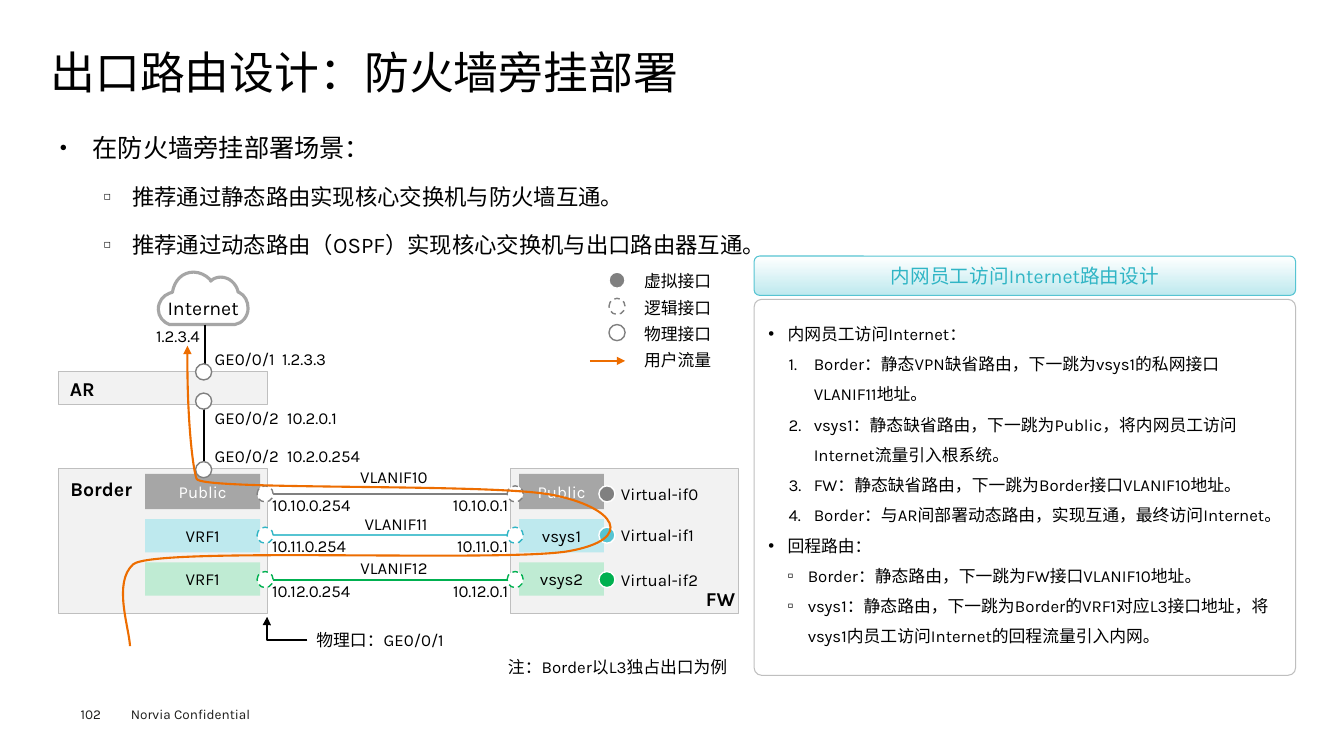
from lxml.etree import SubElement
from pptx import Presentation
from pptx.dml.color import RGBColor
from pptx.enum.dml import MSO_LINE
from pptx.enum.shapes import MSO_CONNECTOR, MSO_SHAPE
from pptx.enum.text import MSO_ANCHOR, MSO_AUTO_SIZE, PP_ALIGN
from pptx.oxml.ns import qn
from pptx.util import Pt

SCALE = 9144
FONT = "Karla"
BLACK, WHITE, GREY, PALE, EDGE = "000000", "FFFFFF", "808080", "F2F2F2", "BFBFBF"
TEAL, DEEP, MINT, GREEN, ORANGE = "56C4D2", "30B5C5", "BEE9EE", "00B050", "ED6D00"
LEFT, MID, RIGHT = PP_ALIGN.LEFT, PP_ALIGN.CENTER, PP_ALIGN.RIGHT


def px(n):
    return round(n * SCALE)


def rgb(code):
    return RGBColor.from_string(code)


def style(par, size, color=BLACK, bold=False):
    par.font.name = FONT
    par.font.size = Pt(size)
    par.font.bold = bold
    par.font.color.rgb = rgb(color)


def inset(frame, side, top):
    frame.margin_left = frame.margin_right = px(side)
    frame.margin_top = frame.margin_bottom = px(top)


def label(page, x, y, w, words, size=12, align=LEFT, h=30, wrap=False, color=BLACK, bold=False, tab=0):
    box = page.add_textbox(px(x), px(y), px(w), px(h))
    frame = box.text_frame
    frame.word_wrap = wrap
    frame.auto_size = MSO_AUTO_SIZE.SHAPE_TO_FIT_TEXT
    par = frame.paragraphs[0]
    par.text = words
    par.alignment = align
    if tab:
        stops = SubElement(par._p.get_or_add_pPr(), qn("a:tabLst"))
        SubElement(stops, qn("a:tab"), pos=str(px(tab)), algn="l")
    style(par, size, color, bold)
    return frame


def paint(shape, fill, line, width=0.75, dash=False):
    shape.shadow.inherit = False
    if fill:
        shape.fill.solid()
        shape.fill.fore_color.rgb = rgb(fill)
    else:
        shape.fill.background()
    if line:
        shape.line.color.rgb = rgb(line)
        shape.line.width = Pt(width)
        if dash:
            shape.line.dash_style = MSO_LINE.DASH
    else:
        shape.line.fill.background()


def block(page, x, y, w, h, fill, line=None, words="", color=BLACK, size=12, kind=MSO_SHAPE.RECTANGLE):
    shape = page.add_shape(kind, px(x), px(y), px(w), px(h))
    paint(shape, fill, line)
    if words:
        frame = shape.text_frame
        frame.vertical_anchor = MSO_ANCHOR.MIDDLE
        par = frame.paragraphs[0]
        par.text = words
        par.alignment = MID
        style(par, size, color)
    return shape


def dot(page, x, y, fill=WHITE, line=GREY, dash=False):
    shape = page.add_shape(MSO_SHAPE.OVAL, px(x), px(y), px(16), px(16))
    paint(shape, fill, line, 1, dash)


def arrow(shape):
    SubElement(shape.line._get_or_add_ln(), qn("a:tailEnd"), type="triangle")


def link(page, x1, y1, x2, y2, color, kind=MSO_CONNECTOR.STRAIGHT):
    line = page.add_connector(kind, px(x1), px(y1), px(x2), px(y2))
    line.line.color.rgb = rgb(color)
    line.line.width = Pt(1.5)
    SubElement(line._element.spPr, qn("a:effectLst"))
    return line


def curve(page, x, y, w, h, steps, close):
    pen = page.build_freeform(px(x), px(y))
    pen.add_line_segments([(px(x + w), px(y + h))], close=close)
    shape = pen.convert_to_shape()
    trace = shape._element.spPr.find(qn("a:custGeom")).find(qn("a:pathLst"))[0]
    for part in list(trace):
        trace.remove(part)
    for i, step in enumerate(steps):
        tag = "a:moveTo" if i == 0 else "a:lnTo" if len(step) == 2 else "a:cubicBezTo"
        part = SubElement(trace, qn(tag))
        for a, b in zip(step[::2], step[1::2]):
            SubElement(part, qn("a:pt"), x=str(px(a)), y=str(px(b)))
    if close:
        SubElement(trace, qn("a:close"))
    return shape


def bullet(par, mark, left, hang, size):
    prop = par._p.get_or_add_pPr()
    prop.set("marL", str(px(left)))
    prop.set("indent", str(px(-hang)))
    if size != 100:
        SubElement(prop, qn("a:buSzPct"), val=str(size * 1000))
    if mark == "1.":
        SubElement(prop, qn("a:buAutoNum"), type="arabicPeriod")
    else:
        SubElement(prop, qn("a:buFont"), typeface="Arial")
        SubElement(prop, qn("a:buChar"), char=mark)


def fill_list(frame, rows, levels, space):
    for i, (level, words) in enumerate(rows):
        par = frame.paragraphs[0] if i == 0 else frame.add_paragraph()
        par.text = words
        par.alignment = LEFT
        mark, left, hang, scale, size, before = levels[level]
        bullet(par, mark, left, hang, scale)
        par.line_spacing = space
        if i and before:
            par.space_before = Pt(before)
        style(par, size)


def head(page, x, y, w):
    frame = label(page, x, y, w, "出口路由设计：防火墙旁挂部署", 32, h=53, wrap=True)
    frame.auto_size = MSO_AUTO_SIZE.NONE
    inset(frame, 0, 0)
    frame.vertical_anchor = MSO_ANCHOR.MIDDLE
    frame.paragraphs[0].line_spacing = 0.9
    body = page.add_textbox(px(x), px(y + 67), px(w), px(139)).text_frame
    body.word_wrap = True
    inset(body, 9, 4)
    rows = [
        (0, "在防火墙旁挂部署场景："),
        (1, "推荐通过静态路由实现核心交换机与防火墙互通。"),
        (1, "推荐通过动态路由（OSPF）实现核心交换机与出口路由器互通。"),
    ]
    fill_list(body, rows, [("●", 33, 33, 50, 18, 0), ("◻", 72, 28, 50, 16, 7.2)], 1.4)


def fabric(page, x, y):
    block(page, x, y, 207, 144, PALE, EDGE)
    label(page, x, y + 3, 83, "Border", 14, RIGHT, 34, bold=True)
    block(page, x + 448, y, 227, 144, PALE, EDGE)
    label(page, x + 630, y + 112, 51, "FW", 14, RIGHT, 34, bold=True)
    lanes = [
        (5, 35, 25, 32, "A6A6A6", WHITE, "Public", "Public", GREY, GREY, GREY),
        (50, 33, 66, 26, MINT, BLACK, "VRF1", "vsys1", TEAL, DEEP, TEAL),
        (93, 33, 110, 27, "BFEBD3", BLACK, "VRF1", "vsys2", GREEN, GREEN, GREEN),
    ]
    for i, (top, tall, axis, lift, fill, ink, near, far, wire, ring, core) in enumerate(lanes):
        row, mid = y + top, y + axis
        block(page, x + 86, row, 114, tall, fill, words=near, color=ink)
        block(page, x + 457, row, 84, tall, fill, words=far, color=ink)
        link(page, x + 213, mid, x + 445, mid, wire)
        for left in (197, 445):
            dot(page, x + left, mid - 8, line=ring, dash=True)
        dot(page, x + 536, mid - 8, core, WHITE)
        label(page, x + 548, mid - 15, 98, f"Virtual-if{i}")
        label(page, x + 280, mid - lift, 96, f"VLANIF1{i}", align=RIGHT)
        label(page, x + 202, mid - 4, 107, f"10.1{i}.0.254")
        label(page, x + 367, mid - 4, 89, f"10.1{i}.0.1", align=RIGHT)
    bend = link(page, x + 247, y + 170, x + 207, y + 147, BLACK, MSO_CONNECTOR.ELBOW)
    guide = bend._element.spPr.find(qn("a:prstGeom")).find(qn("a:avLst"))
    SubElement(guide, qn("a:gd"), name="adj1", fmla="val 100700")
    arrow(bend)
    label(page, x + 246, y + 155, 150, "物理口：GE0/0/1")
    label(page, x + 436, y + 182, 240, "注：Border以L3独占出口为例", wrap=True)


def uplink(page, x, y):
    steps = [
        (35, 0), (41, 0, 47, 3, 51, 7), (52, 9), (53, 8), (55, 6, 59, 5, 62, 5),
        (70, 5, 77, 11, 79, 19), (79, 20), (80, 20), (86, 23, 89, 29, 89, 36),
        (89, 44, 83, 51, 76, 52), (14, 52), (11, 52), (5, 50, 0, 44, 0, 37),
        (0, 29, 5, 23, 11, 21), (14, 20), (16, 8, 24, 0, 35, 0),
    ]
    paint(curve(page, x + 99, y, 89, 53, steps, True), WHITE, "A6A6A6", 2.25)
    label(page, x + 94, y + 19, 99, "Internet", 14, MID, 33, True)
    link(page, x + 145, y + 52, x + 145, y + 96, BLACK)
    block(page, x, y + 99, 207, 32, PALE, EDGE)
    label(page, x, y + 99, 46, "AR", 14, RIGHT, 34, bold=True)
    link(page, x + 144, y + 188, x + 144, y + 136, BLACK)
    for top in (91, 120, 188):
        dot(page, x + 136, y + top)
    label(page, x + 80, y + 48, 70, "1.2.3.4", align=RIGHT)
    ports = [
        (71, 143, 67, "GE0/0/1\t1.2.3.3"),
        (130, 152, 72, "GE0/0/2\t10.2.0.1"),
        (167, 171, 72, "GE0/0/2\t10.2.0.254"),
    ]
    for top, wide, tab, words in ports:
        label(page, x + 145, y + top, wide, words, tab=tab)


def flow(page, x, y):
    steps = [
        (7, 298), (6, 279, -10, 235, 10, 217), (30, 199, 372, 215, 441, 204),
        (510, 192, 488, 160, 426, 148), (365, 136, 76, 144, 73, 132),
        (69, 121, 63, 66, 64, 0),
    ]
    trail = curve(page, x, y, 483, 298, steps, False)
    paint(trail, None, ORANGE, 1.5)
    arrow(trail)


def legend(page, x, y):
    for i, words in enumerate(("虚拟接口", "逻辑接口", "物理接口", "用户流量")):
        row = y + 26 * i
        if i < 3:
            dot(page, x + 19, row + 6, (GREY, WHITE, WHITE)[i], (WHITE, GREY, GREY)[i], i == 1)
        else:
            arrow(link(page, x, row + 16, x + 35, row + 16, ORANGE))
        label(page, x + 44, row, 92, words, wrap=True)


def panel(page, x, y, w):
    kind = MSO_SHAPE.ROUNDED_RECTANGLE
    top = block(page, x, y, w, 39, WHITE, TEAL, "内网员工访问Internet路由设计", DEEP, 14, kind)
    top.adjustments[0] = 0.14
    top.fill.gradient()
    top.fill.gradient_angle = 270
    for stop, code in zip(top.fill.gradient_stops, (WHITE, MINT)):
        stop.color.rgb = rgb(code)
    card = block(page, x, y + 43, w, 373, None, EDGE, kind=kind)
    card.adjustments[0] = 0.02
    frame = card.text_frame
    frame.word_wrap = True
    frame.vertical_anchor = MSO_ANCHOR.TOP
    inset(frame, 12, 12)
    rows = [
        (0, "内网员工访问Internet："),
        (1, "Border：静态VPN缺省路由，下一跳为vsys1的私网接口VLANIF11地址。"),
        (1, "vsys1：静态缺省路由，下一跳为Public，将内网员工访问Internet流量引入根系统。"),
        (1, "FW：静态缺省路由，下一跳为Border接口VLANIF10地址。"),
        (1, "Border：与AR间部署动态路由，实现互通，最终访问Internet。"),
        (0, "回程路由："),
        (2, "Border：静态路由，下一跳为FW接口VLANIF10地址。"),
        (2, "vsys1：静态路由，下一跳为Border的VRF1对应L3接口地址，将vsys1内员工访问Internet的回程流量引入内网。"),
    ]
    levels = [("•", 19, 19, 100, 12, 0), ("1.", 45, 25, 100, 12, 0), ("▫", 39, 20, 100, 12, 0)]
    fill_list(frame, rows, levels, 1.5)


def foot(page, x, y):
    inset(label(page, x, y + 5, 55, "102", 9.7, h=16, color="1D1D1B"), 0, 0)
    label(page, x + 40, y, 160, "Norvia Confidential", 9.7, h=27, wrap=True, color="1D1D1B")


def main():
    deck = Presentation()
    deck.slide_width, deck.slide_height = px(1333), px(750)
    page = deck.slides.add_slide(deck.slide_layouts[6]).shapes
    foot(page, 80, 695)
    head(page, 50, 48, 1235)
    fabric(page, 58, 465)
    uplink(page, 58, 270)
    panel(page, 748, 254, 537)
    flow(page, 122, 343)
    legend(page, 585, 264)
    deck.save("out.pptx")


if __name__ == "__main__":
    main()
